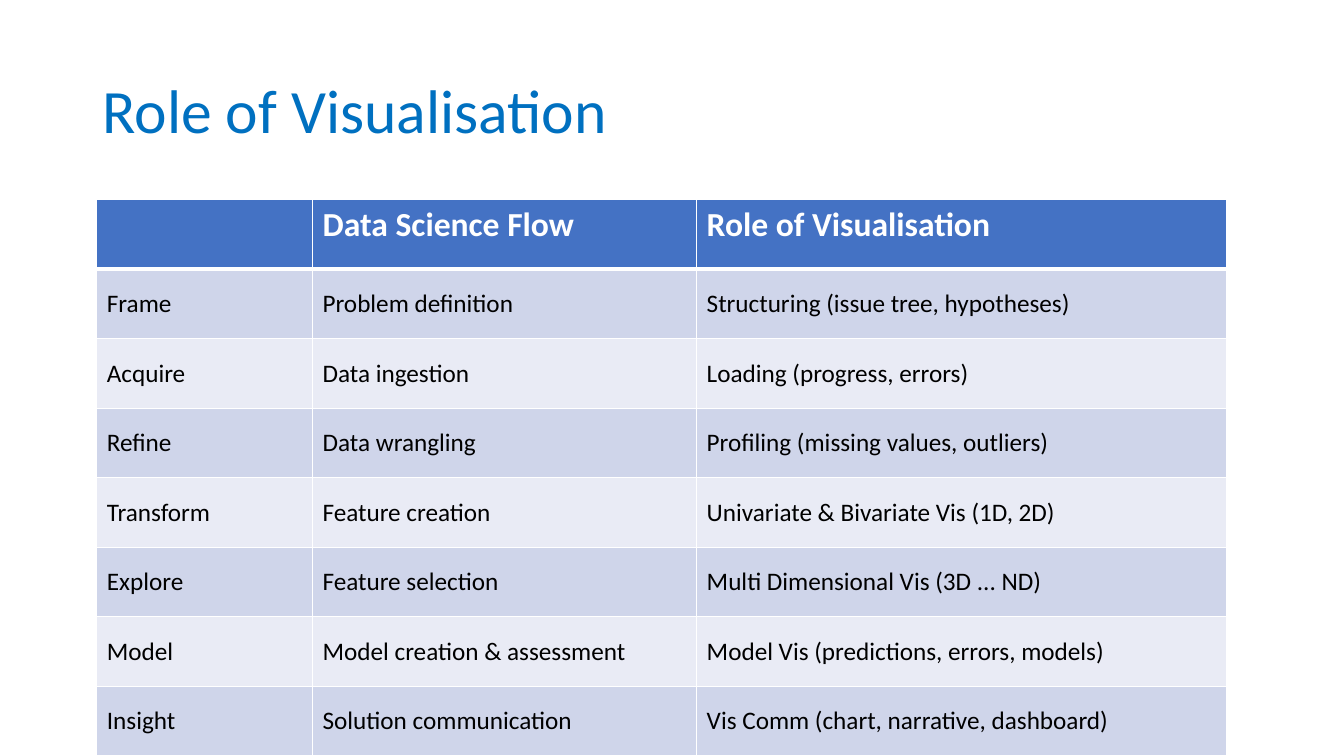
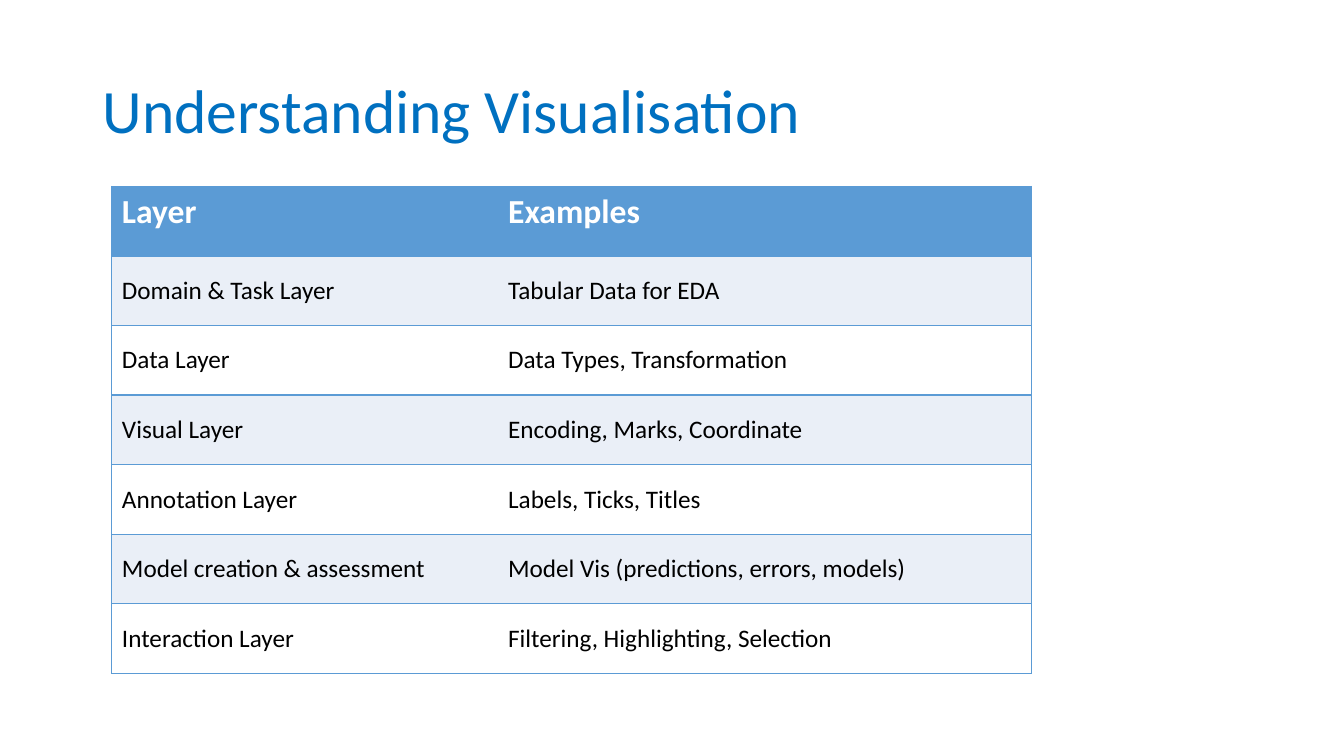
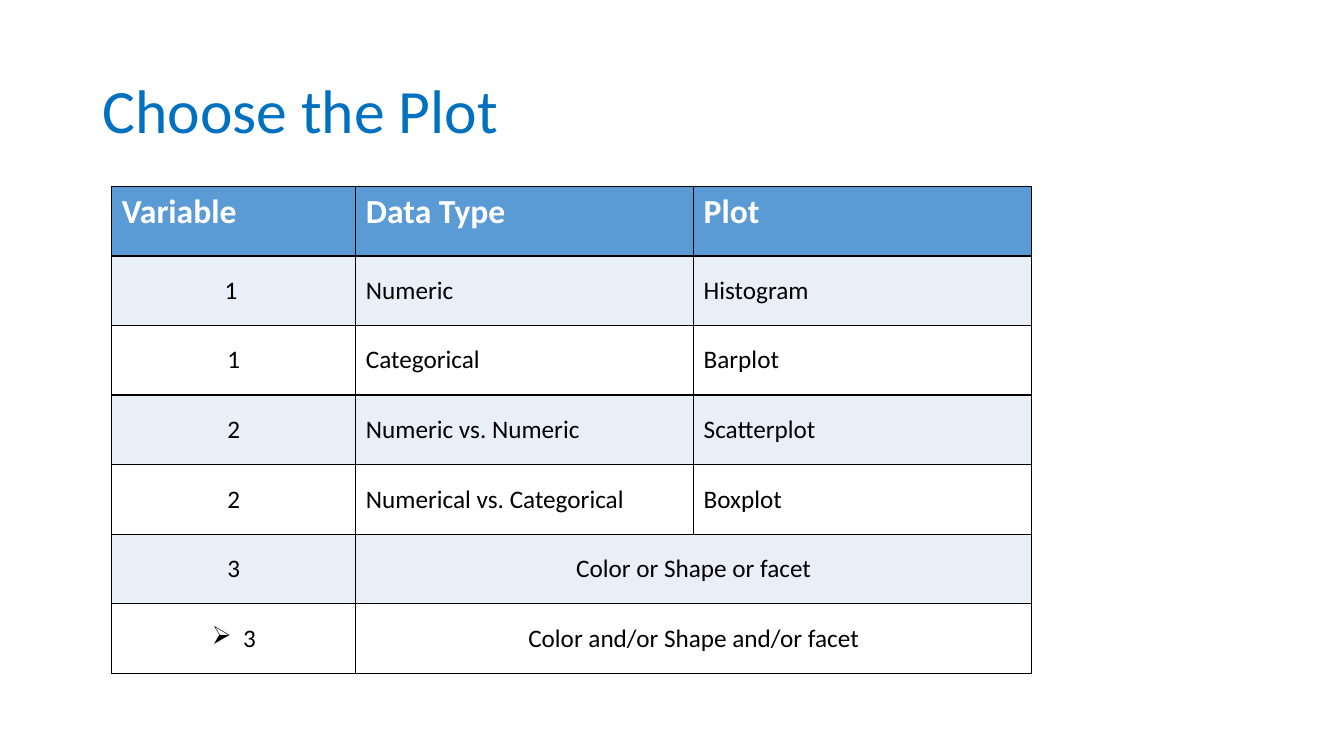
from lxml import etree
from pptx import Presentation
from pptx.dml.color import RGBColor
from pptx.enum.text import MSO_ANCHOR, PP_ALIGN
from pptx.oxml.ns import qn
from pptx.util import Inches, Pt

LEFT, CENTER, JUSTIFY = PP_ALIGN.LEFT, PP_ALIGN.CENTER, PP_ALIGN.JUSTIFY
TOP, MIDDLE = MSO_ANCHOR.TOP, MSO_ANCHOR.MIDDLE

FONT = "Calibri"
ROW_HEIGHT = 0.69
BULLET = "➢"
COLORS = {
    "title": "0070C0",
    "white": "FFFFFF",
    "black": "000000",
    "indigo": "4472C4",
    "indigo_mid": "CFD5EA",
    "indigo_pale": "E9EBF5",
    "blue": "5B9BD5",
    "blue_pale": "EAEFF7",
}

FLOW = [
    ["", "Data Science Flow", "Role of Visualisation"],
    ["Frame", "Problem deﬁnition", "Structuring (issue tree, hypotheses)"],
    ["Acquire", "Data ingestion", "Loading (progress, errors)"],
    ["Reﬁne", "Data wrangling", "Proﬁling (missing values, outliers)"],
    ["Transform", "Feature creation", "Univariate & Bivariate Vis (1D, 2D)"],
    ["Explore", "Feature selection", "Multi Dimensional Vis (3D ... ND)"],
    ["Model", "Model creation & assessment", "Model Vis (predictions, errors, models)"],
    ["Insight", "Solution communication", "Vis Comm (chart, narrative, dashboard)"],
]
LAYERS = [
    ["Layer", "Examples"],
    ["Domain & Task Layer", "Tabular Data for EDA"],
    ["Data Layer", "Data Types, Transformation"],
    ["Visual Layer", "Encoding, Marks, Coordinate"],
    ["Annotation Layer", "Labels, Ticks, Titles"],
    ["Model creation & assessment", "Model Vis (predictions, errors, models)"],
    ["Interaction Layer", "Filtering, Highlighting, Selection"],
]
PLOTS = [
    ["Variable", "Data Type", "Plot"],
    ["1 ", "Numeric", "Histogram"],
    ["1", "Categorical", "Barplot"],
    ["2", "Numeric vs. Numeric", "Scatterplot"],
    ["2", "Numerical vs. Categorical", "Boxplot"],
    ["3", "Color or Shape or facet", None],
    ["3", "Color and/or Shape and/or facet", None],
]


class Deck:
    def __init__(self):
        self.presentation = Presentation()
        self.presentation.slide_width = Inches(13.33)
        self.presentation.slide_height = Inches(7.5)
        self.slide = None

    def add_slide(self, title):
        blank = self.presentation.slide_layouts[6]
        self.slide = self.presentation.slides.add_slide(blank)
        box = self.slide.shapes.add_textbox(Inches(0.92), Inches(0.4), Inches(11.5), Inches(1.45))
        frame = box.text_frame
        frame.word_wrap = True
        frame.vertical_anchor = MIDDLE
        heading = frame.paragraphs[0]
        heading.line_spacing = 0.9
        self.add_run(heading, title, 44, "title")

    def add_run(self, paragraph, text, size, color, bold=False):
        run = paragraph.add_run()
        run.text = text
        run.font.name = FONT
        run.font.size = Pt(size)
        run.font.bold = bold
        run.font.color.rgb = RGBColor.from_string(COLORS[color])

    def add_border(self, cell, side, color, width=1):
        line = etree.SubElement(cell._tc.get_or_add_tcPr(), qn(f"a:ln{side}"), w=str(Pt(width)))
        if color is None:
            etree.SubElement(line, qn("a:noFill"))
        else:
            fill = etree.SubElement(line, qn("a:solidFill"))
            etree.SubElement(fill, qn("a:srgbClr"), val=COLORS[color])

    def add_bullet(self, paragraph):
        properties = paragraph._p.get_or_add_pPr()
        properties.set("marL", str(Inches(0.31)))
        properties.set("indent", str(-Inches(0.31)))
        etree.SubElement(properties, qn("a:buChar"), char=BULLET)

    def add_table(self, left, top, widths, rows, header, bands, border,
                  aligns, column_lines=True, header_rule=1, bulleted=()):
        table = self.slide.shapes.add_table(
            len(rows), len(widths), Inches(left), Inches(top),
            Inches(sum(widths)), Inches(ROW_HEIGHT * len(rows))).table
        table.horz_banding = False
        for column, width in zip(table.columns, widths):
            column.width = Inches(width)
        for r, texts in enumerate(rows):
            table.rows[r].height = Inches(ROW_HEIGHT)
            for c, text in enumerate(texts):
                if text is None:
                    table.cell(r, c - 1).merge(table.cell(r, c))
            for c, text in enumerate(texts):
                cell = table.cell(r, c)
                left_line = (column_lines or c == 0) and not cell.is_spanned
                right_line = column_lines or c == len(widths) - 1
                self.add_border(cell, "L", border if left_line else None)
                self.add_border(cell, "R", border if right_line else None)
                self.add_border(cell, "T", border, header_rule if r == 1 else 1)
                self.add_border(cell, "B", border, header_rule if r == 0 else 1)
                cell.fill.solid()
                fill = header if r == 0 else bands[(r - 1) % 2]
                cell.fill.fore_color.rgb = RGBColor.from_string(COLORS[fill])
                cell.vertical_anchor = MIDDLE if r else TOP
                if not text:
                    continue
                paragraph = cell.text_frame.paragraphs[0]
                align = CENTER if cell.is_merge_origin else aligns[c]
                paragraph.alignment = align if r else LEFT
                if (r, c) in bulleted:
                    self.add_bullet(paragraph)
                if r == 0:
                    self.add_run(paragraph, text, 24, "white", True)
                else:
                    self.add_run(paragraph, text, 18, "black")


def main():
    deck = Deck()
    blue_style = {"header": "blue", "bands": ("blue_pale", "white")}

    deck.add_slide("Role of Visualisation")
    deck.add_table(0.96, 1.98, [2.14, 3.81, 5.26], FLOW, "indigo",
                   ("indigo_mid", "indigo_pale"), "white", [JUSTIFY] * 3, header_rule=3)

    deck.add_slide("Understanding Visualisation")
    deck.add_table(1.11, 1.85, [3.83, 5.29], LAYERS, border="blue",
                   aligns=[LEFT] * 2, column_lines=False, **blue_style)

    deck.add_slide("Choose the Plot")
    deck.add_table(1.11, 1.85, [2.42, 3.35, 3.35], PLOTS, border="black",
                   aligns=[CENTER, LEFT, LEFT], bulleted={(6, 0)}, **blue_style)

    deck.presentation.save("out.pptx")


if __name__ == "__main__":
    main()
